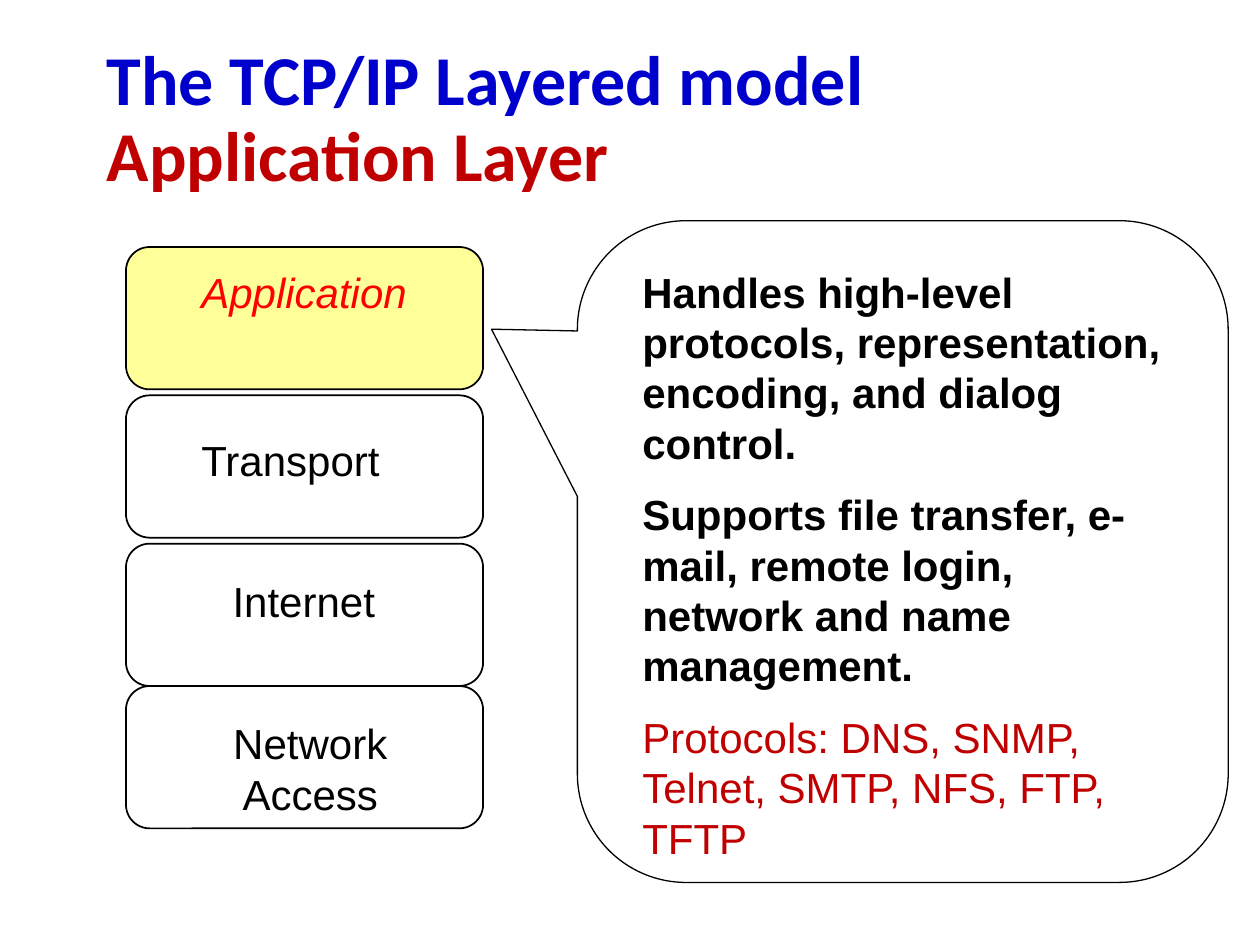
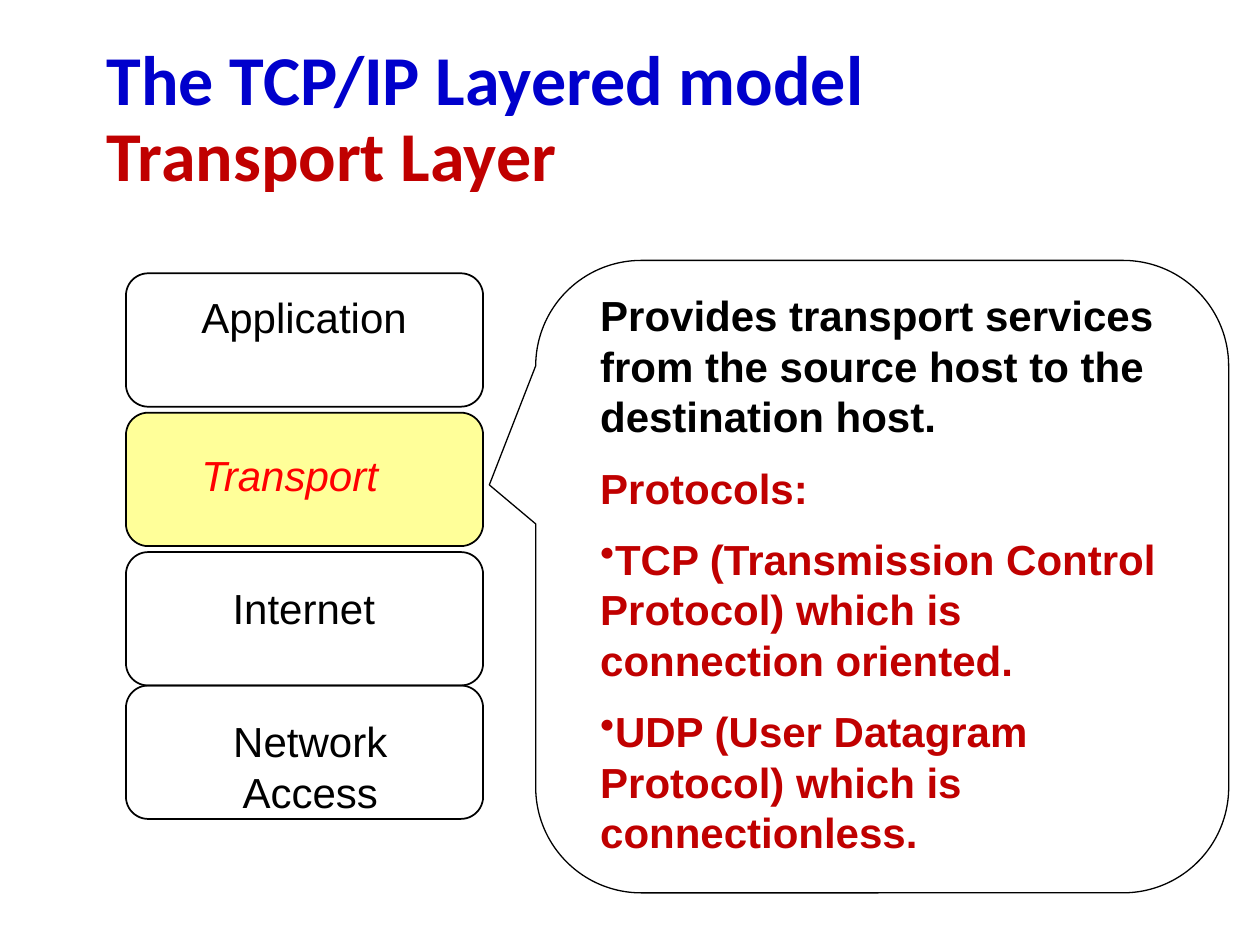
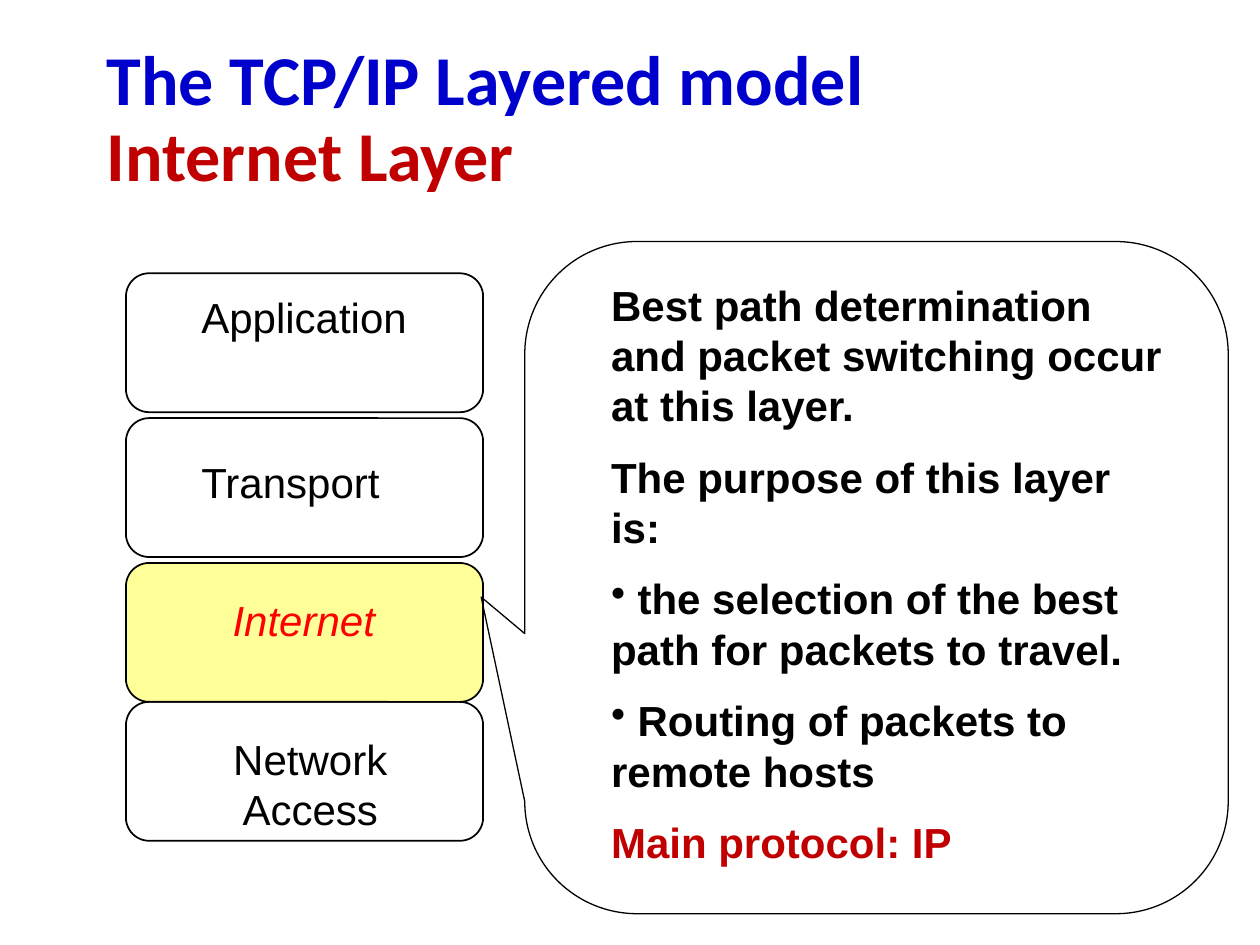
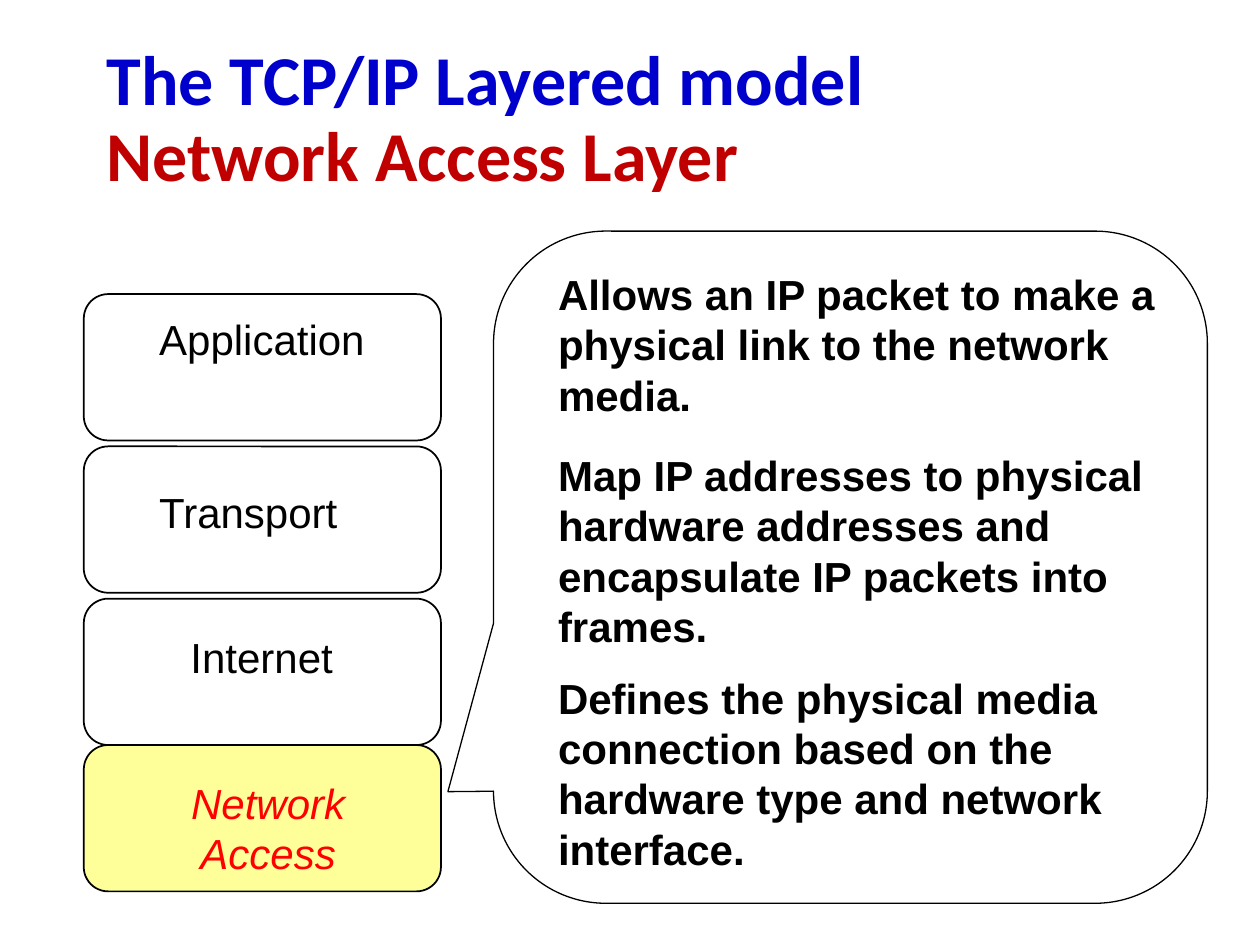
"""Four slides that walk through the layers of the TCP/IP model."""
import dataclasses

import lxml.etree
import pptx
import pptx.dml.color
import pptx.enum.shapes
import pptx.enum.text
import pptx.oxml.ns
import pptx.util

Cm = pptx.util.Cm
Pt = pptx.util.Pt
RGB = pptx.dml.color.RGBColor.from_string
ALIGN = pptx.enum.text.PP_ALIGN
SHAPE = pptx.enum.shapes.MSO_SHAPE


@dataclasses.dataclass(frozen=True)
class Theme:
    """Colours, fonts and sizes (points) used on every slide."""
    blue: str = "0000CC"
    dark_red: str = "C00000"
    red: str = "FF0000"
    black: str = "000000"
    yellow: str = "FFFF99"
    title_font: str = "Calibri"
    body_font: str = "Arial"
    title_size: float = 40
    body_size: float = 24
    body_line: float = 28.8
    paragraph_gap: float = 12
    box_line: float = 1
    callout_line: float = 0.75


THEME = Theme()

# All lengths below are centimetres.
TITLE = "The TCP/IP Layered model"
TITLE_AREA = (1.9, 0.85, 21.59, 3.18)
BOX_WIDTH = 7.2
BOX_GAPS = (0.12, 0.12, 0, 0)

# Name, label left inset, label top as a share of box height, label width and
# height, alignment
LAYERS = [
    ("Application", 1.27, 0.09, 5.08, 1.27, ALIGN.LEFT),
    ("Transport", 1.27, 0.23, 5.08, 1.27, ALIGN.LEFT),
    ("Internet", 1.9, 0.18, 3.81, 1.27, ALIGN.LEFT),
    ("Network Access", 0.64, 0.18, 6.15, 2.29, ALIGN.CENTER),
]

# One entry per layer. A note is its text and what differs from bold black.
SLIDES = [
    {
        "stack": (2.54, 4.98, 2.87),
        "callout": (11.64, 4.45, 13.12, 13.34),
        "pointer": (-0.632, -0.336, 0.167),
        "text_area": (12.7, 5.24, 11.01, 12.57),
        "notes": [
            ("Handles high-level protocols, representation, encoding, "
             "and dialog control.", {}),
            ("Supports file transfer, e-mail, remote login, network and "
             "name management.", {}),
            ("Protocols: DNS, SNMP, Telnet, SMTP, NFS, FTP, TFTP",
             {"color": THEME.dark_red, "bold": False}),
        ],
    },
    {
        "stack": (2.54, 5.51, 2.69),
        "callout": (10.8, 5.25, 13.97, 12.75),
        "pointer": (-0.567, -0.145, 0.167),
        "text_area": (11.85, 5.72, 12.49, 12.07),
        "notes": [
            ("Provides transport services from the source host to the "
             "destination host.", {}),
            ("Protocols:", {"color": THEME.dark_red}),
            ("TCP (Transmission Control Protocol) which is connection "
             "oriented.", {"color": THEME.dark_red, "bullet": True}),
            ("UDP (User Datagram Protocol) which is connectionless.",
             {"color": THEME.dark_red, "bullet": True}),
        ],
    },
    {
        "stack": (2.54, 5.51, 2.8),
        "callout": (10.58, 4.87, 14.18, 13.55),
        "pointer": (-0.562, 0.029, 0.167),
        "text_area": (12.07, 5.5, 11.64, 12.57),
        "notes": [
            ("Best path determination and packet switching occur at this "
             "layer.", {}),
            ("The purpose of this layer is:", {}),
            (" the selection of the best path for packets to travel.",
             {"bullet": True}),
            (" Routing of packets to remote hosts", {"bullet": True}),
            ("Main protocol: IP", {"color": THEME.dark_red}),
        ],
    },
    {
        "stack": (1.69, 5.93, 2.95),
        "callout": (9.95, 4.66, 14.39, 13.55),
        "pointer": (-0.564, 0.334, 0.167),
        "text_area": (11, 5.29, 13.55, 12.47),
        "notes": [
            ("Allows an IP packet to make a physical link to the network "
             "media.", {}),
            ("Map IP addresses to physical hardware addresses and "
             "encapsulate IP packets into frames.", {"gap": 17}),
            ("Defines the physical media connection based on the hardware "
             "type and network interface.", {}),
        ],
    },
]


def style_font(font, name, size, color, bold=False, italic=False):
    """Set the whole look of a run's font."""
    font.name, font.size = name, Pt(size)
    font.bold, font.italic = bold, italic
    font.color.rgb = RGB(color)


def fill_paragraph(paragraph, text, color=THEME.black, bold=False, italic=False):
    """Write one body paragraph in the shared type style."""
    paragraph.text = text
    paragraph.line_spacing = Pt(THEME.body_line)
    style_font(paragraph.runs[0].font, THEME.body_font, THEME.body_size,
               color, bold, italic)


def add_bullet(paragraph):
    """Give a paragraph a round bullet."""
    bullet = lxml.etree.SubElement(paragraph._p.get_or_add_pPr(),
                                   pptx.oxml.ns.qn("a:buChar"))
    bullet.set("char", "•")


def add_text_area(slide, area):
    """Add a wrapping text box and return it."""
    box = slide.shapes.add_textbox(*map(Cm, area))
    box.text_frame.word_wrap = True
    return box


def add_outline(slide, kind, area, line_width, fill=None):
    """Add a black outlined shape, filled only when a colour is given."""
    shape = slide.shapes.add_shape(kind, *map(Cm, area))
    shape.shadow.inherit = False
    shape.line.color.rgb = RGB(THEME.black)
    shape.line.width = Pt(line_width)
    paint(shape, fill)
    return shape


def paint(shape, color):
    """Fill a shape with a colour, or leave it clear."""
    if color:
        shape.fill.solid()
        shape.fill.fore_color.rgb = RGB(color)
    else:
        shape.fill.background()


def add_title(slide, layer):
    """Place the two-line, two-colour title."""
    title = slide.shapes.title
    title.left, title.top, title.width, title.height = map(Cm, TITLE_AREA)
    frame = title.text_frame
    frame.text = f"{TITLE}\v{layer} Layer"
    frame.auto_size = pptx.enum.text.MSO_AUTO_SIZE.NONE
    frame.vertical_anchor = pptx.enum.text.MSO_ANCHOR.MIDDLE
    paragraph = frame.paragraphs[0]
    paragraph.alignment = ALIGN.LEFT
    paragraph.line_spacing = 0.9
    for run, color in zip(paragraph.runs, (THEME.blue, THEME.dark_red)):
        style_font(run.font, THEME.title_font, THEME.title_size, color, bold=True)


def add_stack(slide, stack, current):
    """Draw the four layer boxes and highlight the current one."""
    left, top, height = stack
    for layer, gap in zip(LAYERS, BOX_GAPS):
        name, inset, drop, label_width, label_height, alignment = layer
        active = name == current
        fill = THEME.yellow if active else None
        add_outline(slide, SHAPE.FLOWCHART_ALTERNATE_PROCESS,
                    (left, top, BOX_WIDTH, height), THEME.box_line, fill)
        label = add_text_area(slide, (left + inset, top + drop * height,
                                      label_width, label_height))
        paint(label, fill)
        paragraph = label.text_frame.paragraphs[0]
        paragraph.alignment = alignment
        fill_paragraph(paragraph, name, THEME.red if active else THEME.black,
                       italic=active)
        top += height + gap


def add_callout(slide, content):
    """Draw the speech bubble and the notes inside it."""
    bubble = add_outline(slide, SHAPE.ROUNDED_RECTANGULAR_CALLOUT,
                         content["callout"], THEME.callout_line)
    for index, value in enumerate(content["pointer"]):
        bubble.adjustments[index] = value
    frame = add_text_area(slide, content["text_area"]).text_frame
    for index, (text, look) in enumerate(content["notes"]):
        paragraph = frame.add_paragraph() if index else frame.paragraphs[0]
        fill_paragraph(paragraph, text, look.get("color", THEME.black),
                       look.get("bold", True))
        if index:
            paragraph.space_before = Pt(look.get("gap", THEME.paragraph_gap))
        if look.get("bullet"):
            add_bullet(paragraph)


def build():
    """Build and save the presentation."""
    presentation = pptx.Presentation()
    presentation.slide_width, presentation.slide_height = Cm(25.4), Cm(19.05)
    title_only = presentation.slide_layouts[5]
    for layer, content in zip(LAYERS, SLIDES):
        slide = presentation.slides.add_slide(title_only)
        add_title(slide, layer[0])
        add_stack(slide, content["stack"], layer[0])
        add_callout(slide, content)
    presentation.save("out.pptx")


build()
